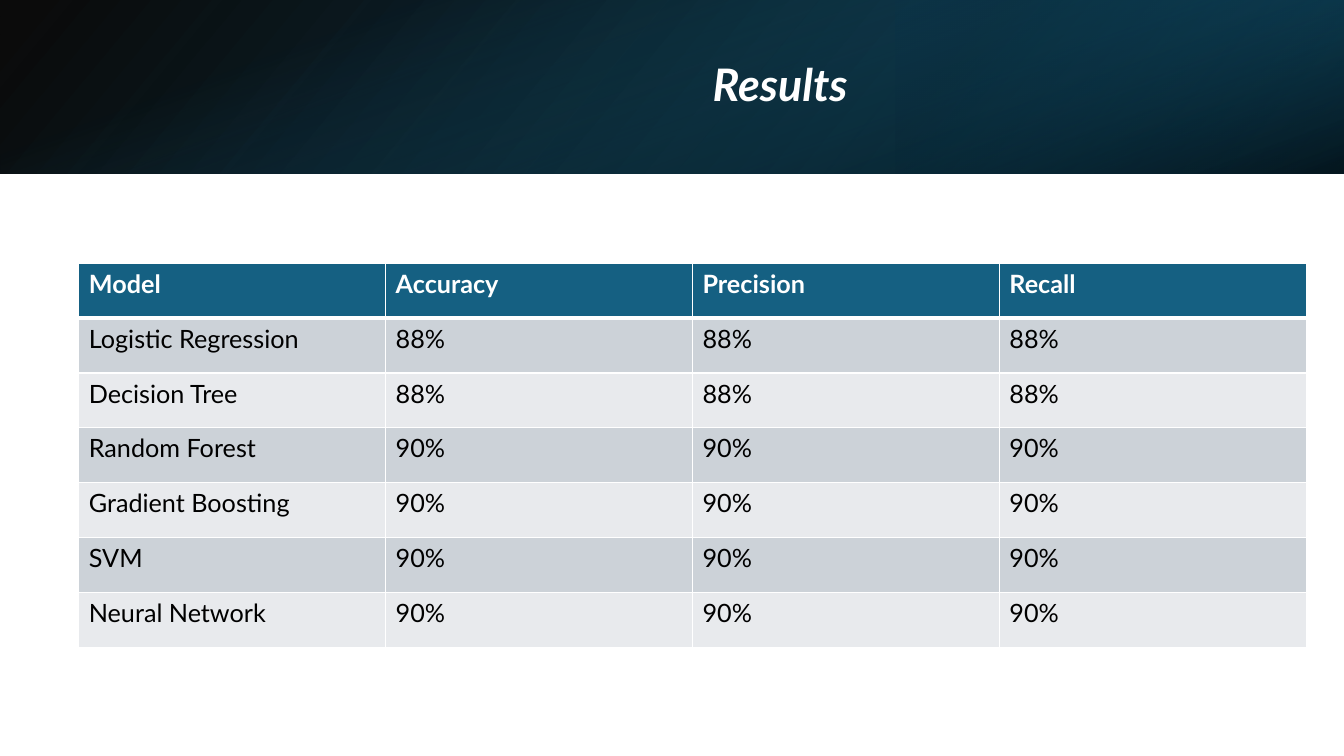
from lxml import etree
from pptx import Presentation
from pptx.dml.color import RGBColor
from pptx.enum.shapes import MSO_SHAPE
from pptx.enum.text import MSO_ANCHOR, PP_ALIGN
from pptx.oxml.ns import qn
from pptx.util import Pt

RECTANGLE = MSO_SHAPE.RECTANGLE
MIDDLE = MSO_ANCHOR.MIDDLE
CENTER = PP_ALIGN.CENTER

BLACK = RGBColor(0x00, 0x00, 0x00)
WHITE = RGBColor(0xFF, 0xFF, 0xFF)
BLUE = RGBColor(0x15, 0x60, 0x82)
DEEP_BLUE = RGBColor(0x10, 0x48, 0x62)
NIGHT_BLUE = RGBColor(0x0B, 0x30, 0x41)
DARK_BAND = RGBColor(0xCC, 0xD2, 0xD8)
LIGHT_BAND = RGBColor(0xE8, 0xEA, 0xED)
FONT = "Lato"

BANNER_LAYERS = [
    ((0, 0, 960, 124), 0, True, 140, [(0, BLACK, 96), (100, DEEP_BLUE, 100)]),
    ((640, 0, 320, 124), 180, True, 320, [(19, NIGHT_BLUE, 68), (100, BLUE, 79)]),
    ((418, -418, 124, 960), 90, False, 340, [(23, BLUE, 0), (99, BLACK, 74)]),
]
RESULTS = [
    ("Model", "Accuracy", "Precision", "Recall"),
    ("Logistic Regression", "88%", "88%", "88%"),
    ("Decision Tree", "88%", "88%", "88%"),
    ("Random Forest", "90%", "90%", "90%"),
    ("Gradient Boosting", "90%", "90%", "90%"),
    ("SVM", "90%", "90%", "90%"),
    ("Neural Network", "90%", "90%", "90%"),
]


def add_color(parent, color, opacity=100):
    element = etree.SubElement(parent, qn("a:srgbClr"), val=str(color))
    if opacity < 100:
        etree.SubElement(element, qn("a:alpha"), val=str(opacity * 1000))


def add_border(cell, side, width):
    line = etree.SubElement(cell._tc.get_or_add_tcPr(), qn(f"a:ln{side}"), w=str(Pt(width)))
    add_color(etree.SubElement(line, qn("a:solidFill")), WHITE)


presentation = Presentation()
presentation.slide_width = Pt(960)
presentation.slide_height = Pt(540)
slide = presentation.slides.add_slide(presentation.slide_layouts[5])

for box, rotation, flipped, angle, stops in BANNER_LAYERS:
    layer = slide.shapes.add_shape(RECTANGLE, *[Pt(length) for length in box])
    layer.rotation = rotation
    layer.shadow.inherit = False
    layer.line.fill.background()
    properties = layer.element.spPr
    if flipped:
        properties.find(qn("a:xfrm")).set("flipH", "1")
    gradient = etree.Element(qn("a:gradFill"))
    stop_list = etree.SubElement(gradient, qn("a:gsLst"))
    for position, color, opacity in stops:
        stop = etree.SubElement(stop_list, qn("a:gs"), pos=str(position * 1000))
        add_color(stop, color, opacity)
    etree.SubElement(gradient, qn("a:lin"), ang=str(angle * 60000), scaled="0")
    properties.find(qn("a:prstGeom")).addnext(gradient)

title = slide.shapes.title
title.element.getparent().append(title.element)
title.left, title.top, title.width, title.height = Pt(108), Pt(27.4), Pt(898.6), Pt(69)
title.text_frame.text = "Results"
title.text_frame.word_wrap = True
title.text_frame.vertical_anchor = MIDDLE
paragraph = title.text_frame.paragraphs[0]
paragraph.alignment = CENTER
paragraph.line_spacing = 0.9
paragraph.space_after = Pt(6)
paragraph.font.name = FONT
paragraph.font.size = Pt(32)
paragraph.font.bold = True
paragraph.font.italic = True
paragraph.font.color.rgb = WHITE

table = slide.shapes.add_table(
    len(RESULTS), len(RESULTS[0]), Pt(56.3), Pt(188.2), Pt(876.8), Pt(274.2)
).table
for row_index, values in enumerate(RESULTS):
    header = row_index == 0
    band = BLUE if header else DARK_BAND if row_index % 2 else LIGHT_BAND
    for column_index, value in enumerate(values):
        cell = table.cell(row_index, column_index)
        add_border(cell, "L", 1)
        add_border(cell, "R", 1)
        add_border(cell, "T", 3 if row_index == 1 else 1)
        add_border(cell, "B", 3 if header else 1)
        cell.fill.solid()
        cell.fill.fore_color.rgb = band
        cell.text = value
        paragraph = cell.text_frame.paragraphs[0]
        paragraph.font.name = FONT
        paragraph.font.size = Pt(18)
        paragraph.font.bold = header
        paragraph.font.color.rgb = WHITE if header else BLACK

presentation.save("out.pptx")
